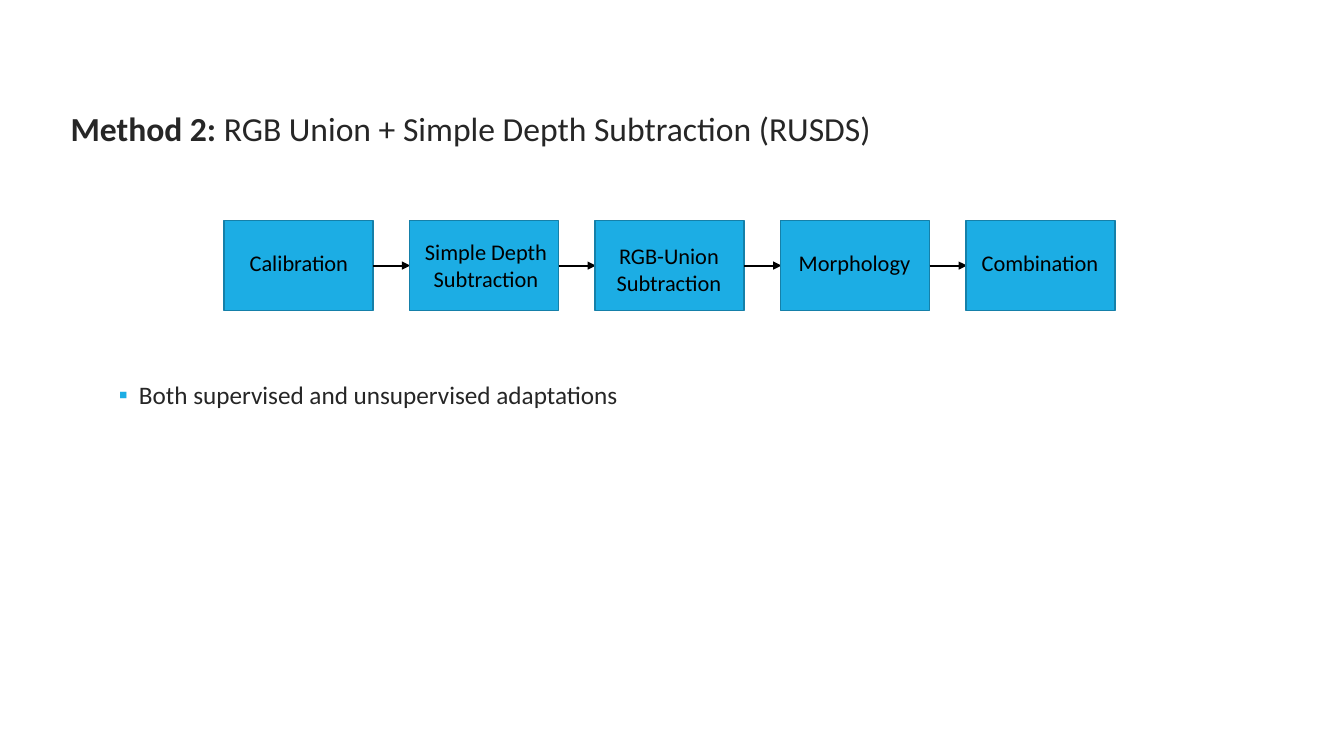
import pptx
import pptx.util
import pptx.dml.color
import pptx.enum.shapes
import pptx.enum.text
import pptx.oxml
import pptx.oxml.ns

Inches = pptx.util.Inches
Align = pptx.enum.text.PP_ALIGN
COLORS = {
    "white": "FFFFFF",
    "blue": "1CADE4",
    "edge": "1580A9",
    "ink": "262626",
    "black": "000000",
}


def color(name):
    return pptx.dml.color.RGBColor.from_string(COLORS[name])


def child(parent, tag, **attrs):
    node = pptx.oxml.parse_xml(f"<a:{tag} {pptx.oxml.ns.nsdecls('a')}/>")
    for key, value in attrs.items():
        node.set(key, value)
    parent.append(node)
    return node


def write(para, text, size=16, tint="black", bold=False, align=Align.LEFT):
    para.alignment = align
    run = para.add_run()
    run.text = text
    run.font.name = "Calibri"
    run.font.size = pptx.util.Pt(size)
    run.font.bold = bold
    run.font.color.rgb = color(tint)


class Deck:
    def __init__(self):
        self.show = pptx.Presentation()
        self.show.slide_width = Inches(13.33)
        self.show.slide_height = Inches(7.5)
        self.slide = self.show.slides.add_slide(self.show.slide_layouts[5])
        self.shapes = self.slide.shapes

    def title(self, lead, rest):
        head = self.shapes.title
        head.left, head.top = Inches(0.6), Inches(0.52)
        head.width, head.height = Inches(10.96), Inches(0.89)
        head.fill.solid()
        head.fill.fore_color.rgb = color("white")
        frame = head.text_frame
        frame.auto_size = pptx.enum.text.MSO_AUTO_SIZE.NONE
        frame.vertical_anchor = pptx.enum.text.MSO_ANCHOR.TOP
        frame.margin_top, frame.margin_bottom = Inches(0.55), 0
        para = frame.paragraphs[0]
        write(para, lead, size=24, tint="ink", bold=True)
        write(para, rest, size=24, tint="ink")

    def text(self, x, y, w, h, text, **style):
        box = self.shapes.add_textbox(Inches(x), Inches(y), Inches(w), Inches(h))
        box.text_frame.word_wrap = True
        write(box.text_frame.paragraphs[0], text, **style)
        return box.text_frame

    def bullet(self, x, y, w, h, text):
        frame = self.text(x, y, w, h, text, size=18, tint="ink")
        frame.margin_top = Inches(0.49)
        para = frame.paragraphs[0]
        para.line_spacing = 0.9
        props = para._p.get_or_add_pPr()
        props.set("marL", str(Inches(0.2)))
        props.set("indent", str(Inches(-0.2)))
        child(child(props, "buClr"), "srgbClr", val=COLORS["blue"])
        child(props, "buFont", typeface="Calibri")
        child(props, "buChar", char="▪")

    def box(self, x, y, w, h):
        kind = pptx.enum.shapes.MSO_SHAPE.RECTANGLE
        rect = self.shapes.add_shape(kind, Inches(x), Inches(y), Inches(w), Inches(h))
        rect.shadow.inherit = False
        rect.fill.solid()
        rect.fill.fore_color.rgb = color("blue")
        rect.line.color.rgb = color("edge")
        rect.line.width = pptx.util.Pt(1)

    def arrow(self, x, y, end):
        kind = pptx.enum.shapes.MSO_CONNECTOR.STRAIGHT
        line = self.shapes.add_connector(kind, Inches(x), Inches(y), Inches(end), Inches(y))
        line.line.color.rgb = color("black")
        line.line.width = pptx.util.Pt(1.5)
        child(line.line._get_or_add_ln(), "tailEnd", type="triangle")
        child(line._element.spPr, "effectLst")


def main():
    deck = Deck()
    deck.title("Method 2: ", "RGB Union + Simple Depth Subtraction (RUSDS)")
    deck.bullet(1.08, 3.31, 10.96, 1.58, "Both supervised and unsupervised adaptations")
    left, top, wide, high, step = 2.22, 2.19, 1.48, 0.89, 1.84
    steps = [
        ("Calibration", 0.06, 2.42, 1.37, 0.37),
        ("Simple Depth Subtraction", 0.02, 2.31, 1.48, 0.64),
        ("RGB-Union Subtraction", 0.05, 2.35, 1.37, 0.64),
        ("Morphology", 0.05, 2.42, 1.37, 0.37),
        ("Combination", 0.05, 2.42, 1.37, 0.37),
    ]
    for i, (name, shift, y, w, h) in enumerate(steps):
        x = left + i * step
        if i:
            deck.arrow(x - step + wide, top + high / 2, x + 0.01)
        deck.box(x, top, wide, high)
        deck.text(x + shift, y, w, h, name, align=Align.CENTER)
    deck.show.save("out.pptx")


if __name__ == "__main__":
    main()
